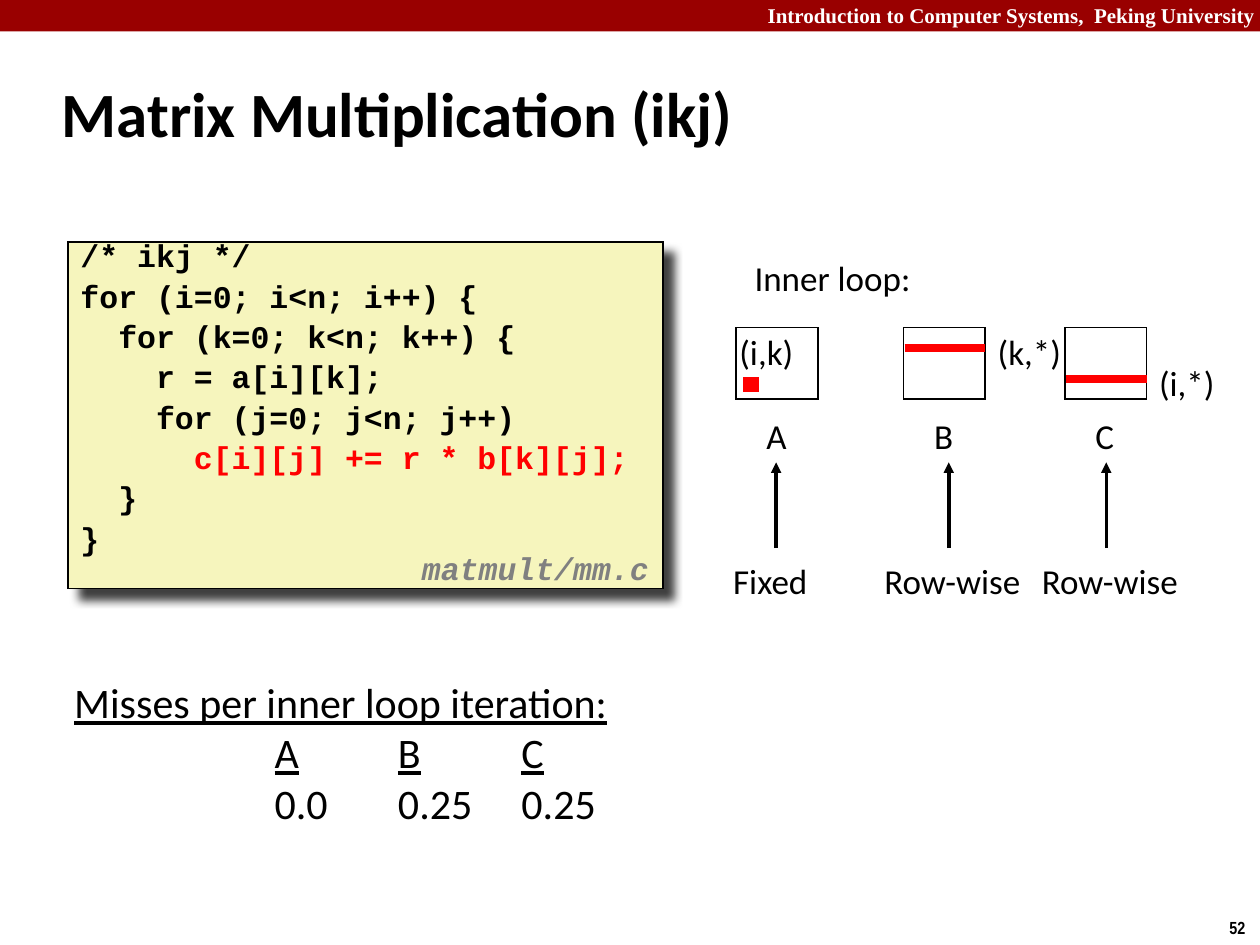
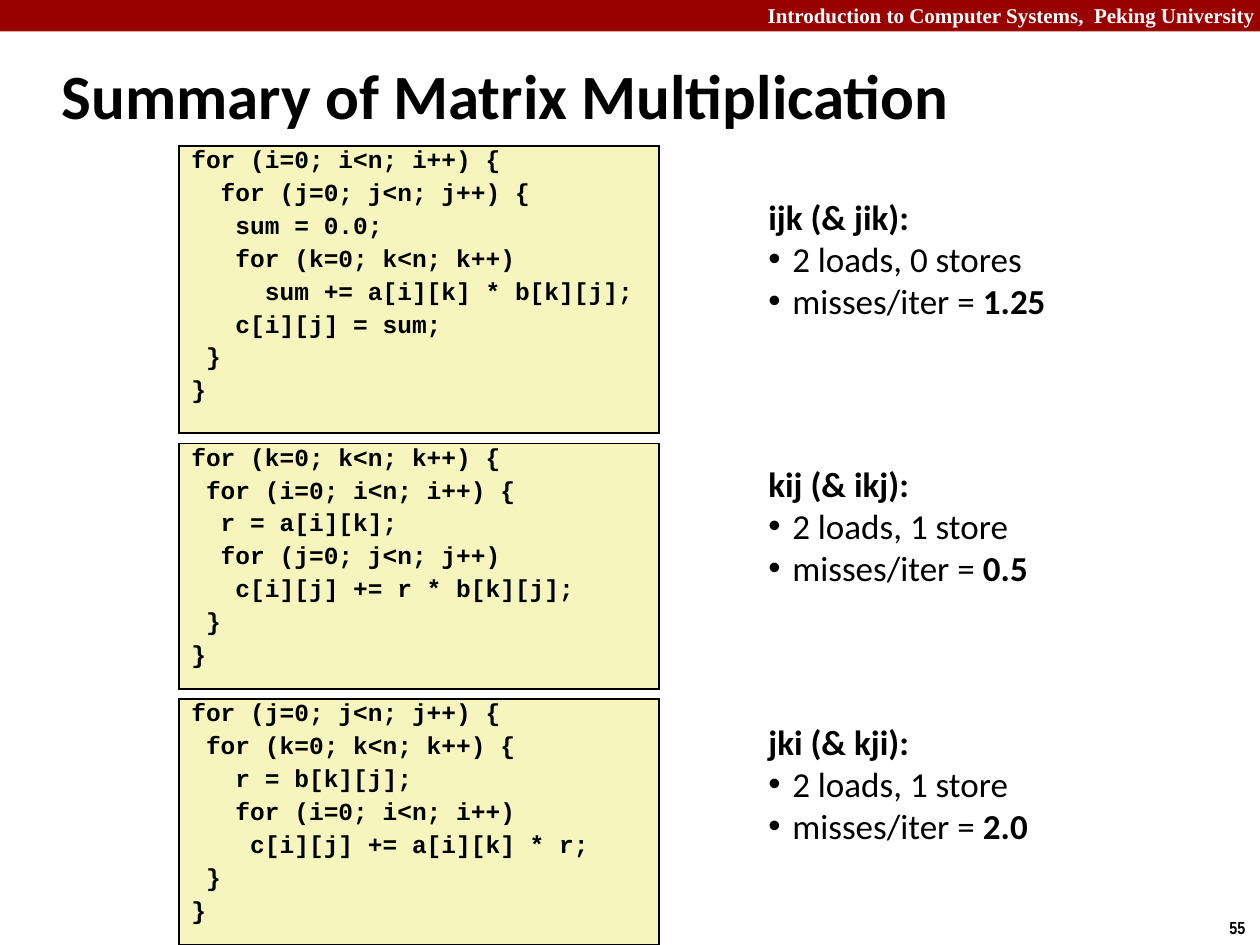
from pptx import Presentation
from pptx.dml.color import RGBColor
from pptx.enum.shapes import MSO_CONNECTOR, MSO_SHAPE
from pptx.enum.text import MSO_ANCHOR, PP_ALIGN
from pptx.oxml import parse_xml
from pptx.oxml.ns import nsdecls, qn
from pptx.util import Inches, Pt
from lxml.etree import SubElement

# Shared colours and text styles
BLACK, WHITE, RED = "000000", "FFFFFF", "FF0000"
BAND, CODE_FILL, GREY = "990000", "F6F5BD", "808080"

HEADER = dict(name="Times New Roman", size=Pt(12), bold=True, color=WHITE)
NUMBER = dict(name="Arial Narrow", size=Pt(10), bold=True, color=BLACK)
TITLE = dict(name="Calibri", size=Pt(36), bold=True, color=BLACK)
LABEL = dict(name="Calibri", size=Pt(20), bold=False, color=BLACK)
MISSES = dict(LABEL, size=Pt(24))
CODE = dict(name="Courier New", size=Pt(18), bold=True, color=BLACK)
FILE_NAME = dict(CODE, italic=True, color=GREY)

IKJ_CODE = """/* ikj */
for (i=0; i<n; i++) {
  for (k=0; k<n; k++) {
    r = a[i][k];
    for (j=0; j<n; j++)
      c[i][j] += r * b[k][j];
  }
}"""

# Loop order, loads and stores, misses, drop of the note below its code, code
SUMMARY = [
    ("ijk (& jik):", "2 loads, 0 stores", "1.25", 0.34, """for (i=0; i<n; i++) {
  for (j=0; j<n; j++) {
   sum = 0.0;
   for (k=0; k<n; k++)
     sum += a[i][k] * b[k][j];
   c[i][j] = sum;
 }
}"""),
    ("kij (& ikj):", "2 loads, 1 store", "0.5", 0.1, """for (k=0; k<n; k++) {
 for (i=0; i<n; i++) {
  r = a[i][k];
  for (j=0; j<n; j++)
   c[i][j] += r * b[k][j];
 }
}"""),
    ("jki (& kji):", "2 loads, 1 store", "2.0", 0.12, """for (j=0; j<n; j++) {
 for (k=0; k<n; k++) {
   r = b[k][j];
   for (i=0; i<n; i++)
    c[i][j] += a[i][k] * r;
 }
}"""),
]


def rgb(value):
    return RGBColor.from_string(value)


def add_span(para, text, style, **changes):
    span = para.add_run()
    span.text = text
    for key, value in dict(style, **changes).items():
        if key == "color":
            span.font.color.rgb = rgb(value)
        else:
            setattr(span.font, key, value)


def next_paragraph(frame, first):
    return frame.paragraphs[0] if first else frame.add_paragraph()


def add_text_box(page, left, top, width, height, wrap=True):
    frame = page.shapes.add_textbox(
        Inches(left), Inches(top), Inches(width), Inches(height)).text_frame
    frame.word_wrap = wrap
    return frame


def add_label(page, text, left, top, width, height=0.43, style=LABEL):
    frame = add_text_box(page, left, top, width, height, wrap=False)
    add_span(frame.paragraphs[0], text, style)


def add_rectangle(page, left, top, width, height, fill, line=None, weight=1):
    box = page.shapes.add_shape(
        MSO_SHAPE.RECTANGLE,
        Inches(left), Inches(top), Inches(width), Inches(height))
    box.shadow.inherit = False
    box.fill.solid()
    box.fill.fore_color.rgb = rgb(fill)
    if line:
        box.line.color.rgb = rgb(line)
        box.line.width = Pt(weight)
        SubElement(box.line._get_or_add_ln(), qn("a:miter"), lim="800000")
    else:
        box.line.fill.background()
    return box


def add_line(page, start, end, color, weight, arrow=False):
    line = page.shapes.add_connector(
        MSO_CONNECTOR.STRAIGHT, *(Inches(value) for value in start + end))
    line.line.color.rgb = rgb(color)
    line.line.width = Pt(weight)
    if arrow:
        SubElement(line.line._get_or_add_ln(), qn("a:tailEnd"), type="triangle")
    SubElement(line._element.spPr, qn("a:effectLst"))


def add_drop_shadow(box):
    properties = box._element.spPr
    properties.remove(properties.find(qn("a:effectLst")))
    properties.append(parse_xml(
        f'<a:effectLst {nsdecls("a")}>'
        f'<a:outerShdw blurRad="{Pt(5)}" dist="{Pt(8.5)}" dir="2700000" algn="tl">'
        f'<a:srgbClr val="{BLACK}"><a:alpha val="75000"/></a:srgbClr>'
        '</a:outerShdw></a:effectLst>'))


def add_code(page, code, left, top, width, height, size, spacing, marked=None):
    box = add_rectangle(page, left, top, width, height, CODE_FILL, BLACK)
    frame = box.text_frame
    frame.word_wrap = True
    frame.vertical_anchor = MSO_ANCHOR.TOP
    for index, line in enumerate(code.split("\n")):
        para = next_paragraph(frame, index == 0)
        para.alignment = PP_ALIGN.LEFT
        para.line_spacing = spacing
        if index:
            para.space_before = Pt(size / 2)
        if index == marked:
            statement = line.lstrip()
            indent = line[:-len(statement)]
            add_span(para, indent, CODE, size=Pt(size))
            add_span(para, statement, CODE, size=Pt(size), color=RED)
        else:
            add_span(para, line, CODE, size=Pt(size))
    return box


def add_page(deck, title, title_top, number):
    """Page with the course band, its title and its number."""
    page = deck.slides.add_slide(deck.slide_layouts[5])
    add_rectangle(page, 0, 0, 10, 0.25, BAND)
    header = add_text_box(page, 5.5, -0.03, 4.56, 0.3).paragraphs[0]
    header.alignment = PP_ALIGN.RIGHT
    add_span(header, "Introduction to Computer Systems,  Peking University", HEADER)
    add_label(page, number, 9.66, 7.23, 0.34, 0.27, NUMBER)

    heading = page.shapes.title
    place = dict(left=0.39, top=title_top, width=8.3, height=0.83)
    for key, value in place.items():
        setattr(heading, key, Inches(value))
    heading.text_frame.vertical_anchor = MSO_ANCHOR.MIDDLE
    para = heading.text_frame.paragraphs[0]
    para.alignment = PP_ALIGN.LEFT
    add_span(para, title, TITLE)
    return page


def add_matrix(page, left, top, name, access, arrow_x, word_left, word_width):
    """Matrix square, its name, and an arrow from its access pattern."""
    side, height = 0.65, 0.57
    add_rectangle(page, left, top, side, height, WHITE, BLACK)
    add_label(page, name, left + side / 2 - 0.18, top + 0.64, 0.36)
    add_line(page, (arrow_x, top + 1.75), (arrow_x, top + 1.07), BLACK, 2, arrow=True)
    add_label(page, access, word_left, top + 1.79, word_width)


def add_matrix_row(page, left, top, row, index):
    """Red row inside a matrix, with its index on the right."""
    add_line(page, (left + 0.01, top + row), (left + 0.65, top + row), RED, 4.5)
    add_label(page, index, left + 0.65, top + row - 0.19, 0.78)


def add_inner_loop(page, left, top):
    add_label(page, "Inner loop:", left + 0.05, top, 1.45)
    squares = top + 0.61
    a_left, b_left, c_left = left, left + 1.33, left + 2.61
    add_matrix(page, a_left, squares, "A", "Fixed", left + 0.32, left - 0.12, 0.79)
    add_matrix(page, b_left, squares, "B", "Row-wise", left + 1.69, left + 1.08, 1.29)
    add_matrix(page, c_left, squares, "C", "Row-wise", left + 2.94, left + 2.33, 1.29)
    add_rectangle(page, a_left + 0.09, squares + 0.42, 0.06, 0.06, BLACK, RED, 4.5)
    add_label(page, "(i,k)", a_left - 0.07, squares - 0.03, 0.63)
    add_matrix_row(page, b_left, squares, 0.16, "(k,*)")
    add_matrix_row(page, c_left, squares, 0.41, "(i,*)")


def add_misses(page, left, top):
    frame = add_text_box(page, left, top, 5.68, 1.34)
    add_span(frame.paragraphs[0], "Misses per inner loop iteration:",
             MISSES, underline=True)
    for cells, underline in ((("A", "B", "C"), True),
                             (("0.0", "0.25", "0.25"), False)):
        para = frame.add_paragraph()
        tabs = SubElement(para._p.get_or_add_pPr(), qn("a:tabLst"))
        for column, cell in enumerate(cells):
            position = Inches(1.59 + 0.98 * column)
            SubElement(tabs, qn("a:tab"), pos=str(position), algn="l")
            add_span(para, "\t", MISSES, underline=False)
            add_span(para, cell, MISSES, underline=underline)


def add_note(page, left, top, order, loads, misses):
    """Loop order with its two bulleted costs."""
    frame = add_text_box(page, left, top, 2.8, 1.11)
    add_span(frame.paragraphs[0], order, LABEL, bold=True)
    for text, value in ((loads, None), ("misses/iter = ", misses)):
        para = frame.add_paragraph()
        properties = para._p.get_or_add_pPr()
        properties.set("marL", str(Inches(0.19)))
        properties.set("indent", str(-Inches(0.19)))
        SubElement(properties, qn("a:buFont"), typeface="Arial")
        SubElement(properties, qn("a:buChar"), char="•")
        add_span(para, text, LABEL)
        if value:
            add_span(para, value, LABEL, bold=True)


def build_ikj_page(deck):
    page = add_page(deck, "Matrix Multiplication (ikj)", 0.48, "52")
    code = add_code(page, IKJ_CODE, 0.54, 1.92, 4.72, 2.75, 18, 0.65, marked=5)
    add_drop_shadow(code)
    add_label(page, "matmult/mm.c", 3.25, 4.31, 2.08, 0.39, FILE_NAME)
    add_inner_loop(page, 5.84, 1.99)
    add_misses(page, 0.49, 5.32)


def build_summary_page(deck):
    page = add_page(deck, "Summary of Matrix Multiplication", 0.33, "55")
    top, gap = 1.16, 0.08
    for order, loads, misses, drop, code in SUMMARY:
        height = 0.33 * len(code.split("\n")) - 0.36
        add_code(page, code, 1.42, top, 3.81, height, 14, 0.7)
        add_note(page, 6, top + drop, order, loads, misses)
        top += height + gap


def main():
    deck = Presentation()
    deck.slide_width, deck.slide_height = Inches(10), Inches(7.5)
    build_ikj_page(deck)
    build_summary_page(deck)
    deck.save("out.pptx")


if __name__ == "__main__":
    main()
